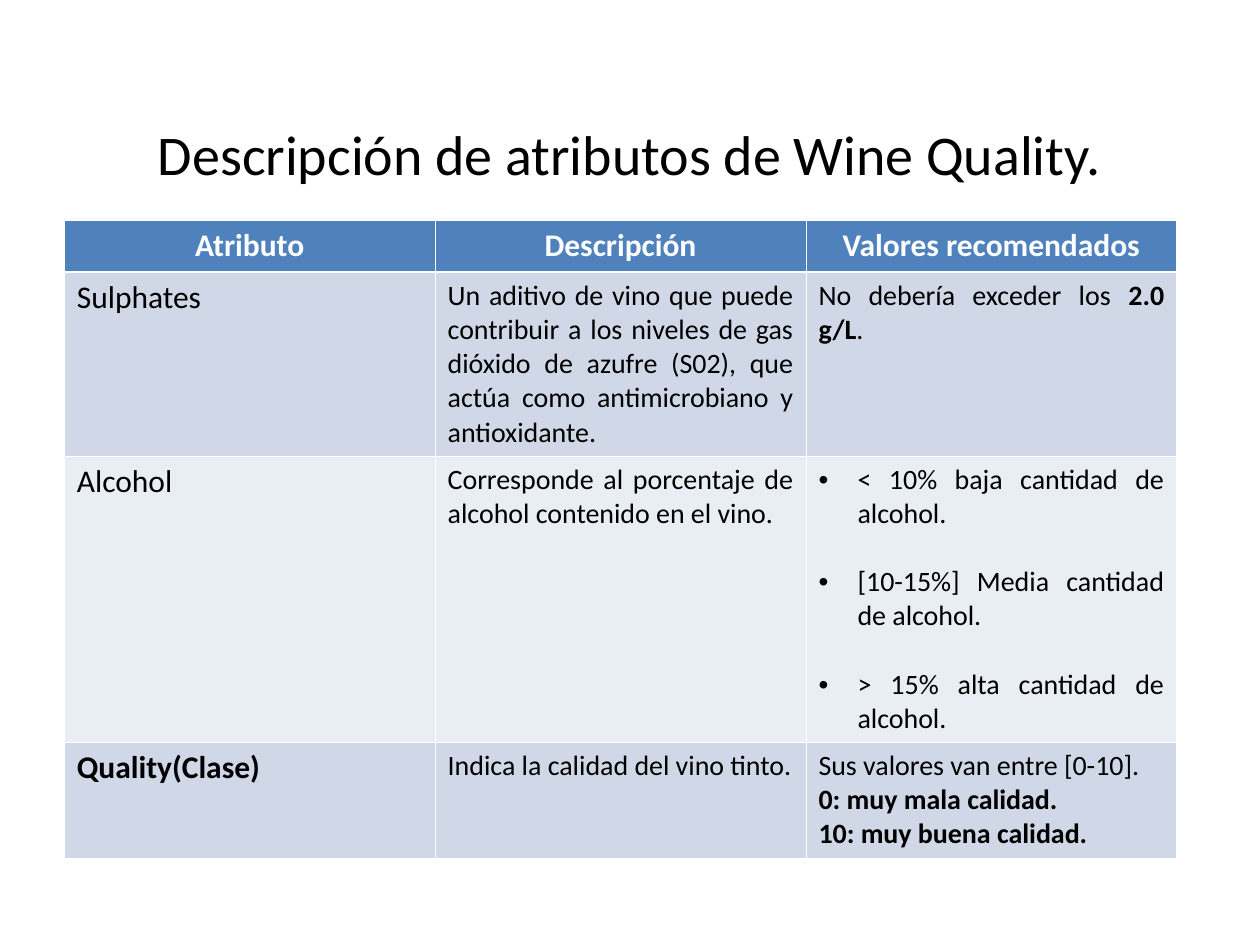
"""Build the slide that describes the Wine Quality fields."""
from dataclasses import dataclass

from lxml import etree
from pptx import Presentation
from pptx.dml.color import RGBColor
from pptx.enum.text import MSO_ANCHOR, PP_ALIGN
from pptx.oxml.ns import qn
from pptx.util import Inches, Pt

CENTER, JUSTIFY = PP_ALIGN.CENTER, PP_ALIGN.JUSTIFY
BOTTOM = MSO_ANCHOR.BOTTOM


@dataclass(frozen=True)
class Theme:
    font: str = "Calibri"
    ink: str = "000000"
    white: str = "FFFFFF"
    head: str = "4F81BD"
    bands: tuple = ("D0D8E8", "E9EDF4")
    title: int = 32
    label: int = 18
    body: int = 16
    thin: float = 0.45
    thick: float = 1.47
    gap: float = 19.5


@dataclass(frozen=True)
class Span:
    text: str
    bold: bool = False


@dataclass(frozen=True)
class Para:
    spans: tuple
    bullet: bool = False


@dataclass(frozen=True)
class Look:
    size: int
    color: str
    align: int = JUSTIFY


THEME = Theme()
HEAD = Look(THEME.label, THEME.white, CENTER)
LABEL = Look(THEME.label, THEME.ink)
BODY = Look(THEME.body, THEME.ink)
TITLE = Look(THEME.title, THEME.ink, CENTER)


def line(text: str, bold: bool = False, bullet: bool = False) -> Para:
    """Make a paragraph of one span."""
    return Para((Span(text, bold),), bullet)


HEADS = ("Atributo", "Descripción", "Valores recomendados")
ROWS = (
    tuple((line(text, bold=True),) for text in HEADS),
    (
        (line("Sulphates"),),
        (line("Un aditivo de vino que puede contribuir a los niveles de gas "
              "dióxido de azufre (S02), que actúa como antimicrobiano y "
              "antioxidante."),),
        (Para((Span("No debería exceder los "), Span("2.0 g/L", True),
               Span("."))),),
    ),
    (
        (line("Alcohol"),),
        (line("Corresponde al porcentaje de alcohol contenido en el vino."),),
        (line("< 10% baja cantidad de alcohol.", bullet=True),
         line("[10-15%] Media cantidad de alcohol.", bullet=True),
         line("> 15% alta cantidad de alcohol.", bullet=True)),
    ),
    (
        (line("Quality(Clase)", bold=True),),
        (line("Indica la calidad del vino tinto."),),
        (line("Sus valores van entre [0-10]."),
         line("0: muy mala calidad.", bold=True),
         line("10: muy buena calidad.", bold=True)),
    ),
)
HEIGHTS = (0.41, 1.46, 2.27, 0.92)
WIDTH = 8.83


def add_bullet(para) -> None:
    """Give a paragraph a hanging round bullet."""
    props = para._p.get_or_add_pPr()
    props.set("marL", str(Inches(0.31)))
    props.set("indent", str(-Inches(0.31)))
    tint = etree.SubElement(props, qn("a:buClr"))
    etree.SubElement(tint, qn("a:srgbClr"), val=THEME.ink)
    etree.SubElement(props, qn("a:buFont"), typeface="Arial")
    etree.SubElement(props, qn("a:buChar"), char="•")


def write(frame, paras: tuple, look: Look) -> None:
    """Fill a text frame run by run."""
    for index, item in enumerate(paras):
        para = frame.add_paragraph() if index else frame.paragraphs[0]
        if item.bullet:
            add_bullet(para)
            if index:
                para.space_before = Pt(THEME.gap)
        para.alignment = look.align
        for span in item.spans:
            run = para.add_run()
            run.text = span.text
            font = run.font
            font.name, font.size, font.bold = THEME.font, Pt(look.size), span.bold
            font.color.rgb = RGBColor.from_string(look.color)


def add_edges(cell, row: int) -> None:
    """Draw white cell borders, thick below the header."""
    props = cell._tc.get_or_add_tcPr()
    for side in "LRTB":
        thick = (row, side) in ((0, "B"), (1, "T"))
        width = Pt(THEME.thick if thick else THEME.thin)
        edge = etree.SubElement(props, qn(f"a:ln{side}"), w=str(width))
        fill = etree.SubElement(edge, qn("a:solidFill"))
        etree.SubElement(fill, qn("a:srgbClr"), val=THEME.white)


def add_grid(slide) -> None:
    """Add the table of fields."""
    count = len(HEADS)
    grid = slide.shapes.add_table(
        len(ROWS), count, Inches(0.51), Inches(1.75),
        Inches(WIDTH), Inches(sum(HEIGHTS))).table
    for col in grid.columns:
        col.width = Inches(WIDTH / count)
    for row, (cells, height) in enumerate(zip(ROWS, HEIGHTS)):
        grid.rows[row].height = Inches(height)
        color = THEME.bands[(row - 1) % 2] if row else THEME.head
        for col, paras in enumerate(cells):
            cell = grid.cell(row, col)
            add_edges(cell, row)
            cell.fill.solid()
            cell.fill.fore_color.rgb = RGBColor.from_string(color)
            look = HEAD if row == 0 else BODY if col else LABEL
            write(cell.text_frame, paras, look)


def add_title(slide) -> None:
    """Place and write the title."""
    title = slide.shapes.title
    title.left, title.top = Inches(0.5), Inches(0.3)
    title.width, title.height = Inches(9), Inches(1.25)
    frame = title.text_frame
    frame.vertical_anchor = BOTTOM
    frame.margin_bottom = Inches(0.07)
    write(frame, (line("Descripción de atributos de Wine Quality."),), TITLE)


def main() -> None:
    """Build and save the deck."""
    deck = Presentation()
    deck.slide_width, deck.slide_height = Inches(10), Inches(7.5)
    slide = deck.slides.add_slide(deck.slide_layouts[5])
    add_title(slide)
    add_grid(slide)
    deck.save("out.pptx")


if __name__ == "__main__":
    main()
